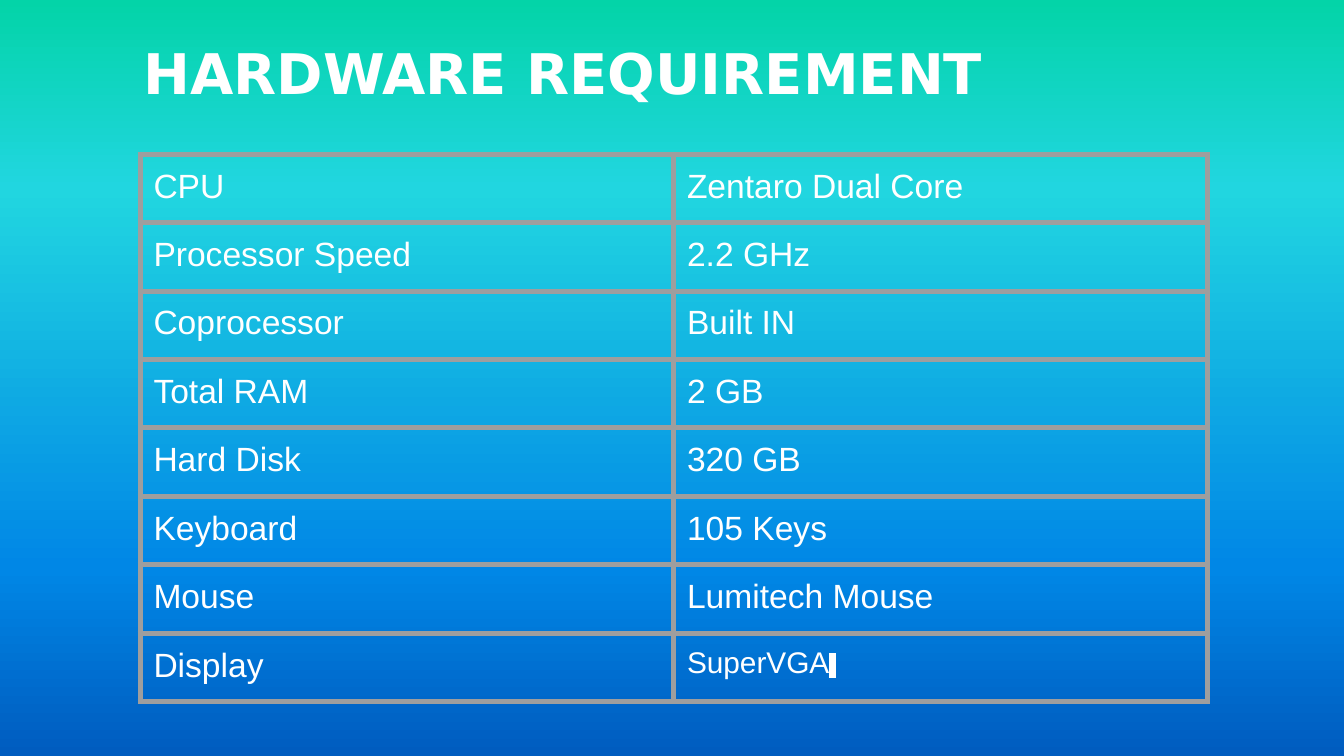
from lxml import etree
from pptx import Presentation
from pptx.dml.color import RGBColor
from pptx.enum.text import MSO_ANCHOR
from pptx.oxml.ns import qn
from pptx.util import Inches, Pt

TOP = MSO_ANCHOR.TOP
WIDTH = Inches(10)
HEIGHT = WIDTH * 9 // 16
INSET = Inches(0.1)
COLORS = {"text": "FFFFFF", "line": "9E9E9E", "mark": "1F497D"}
SKY = [(0, "03D4A8"), (25, "21D6E0"), (75, "0087E6"), (100, "005CBF")]
SPECS = [
    ("CPU", "Zentaro Dual Core"),
    ("Processor Speed", "2.2 GHz"),
    ("Coprocessor", "Built IN"),
    ("Total RAM", "2 GB"),
    ("Hard Disk", "320 GB"),
    ("Keyboard", "105 Keys"),
    ("Mouse", "Lumitech Mouse"),
    ("Display", "SuperVGA"),
]


def write(para, text, size=18, font="Arial", color="text", bold=False, light=None):
    """Add a formatted run, with an optional highlight color."""
    run = para.add_run()
    run.text = text
    run.font.size, run.font.name, run.font.bold = Pt(size), font, bold
    run.font.color.rgb = RGBColor.from_string(COLORS[color])
    if light:
        mark = etree.Element(qn("a:highlight"))
        etree.SubElement(mark, qn("a:srgbClr"), val=COLORS[light])
        run._r.rPr.find(qn("a:solidFill")).addnext(mark)


class Deck:
    def __init__(self):
        self.prs = Presentation()
        self.prs.slide_width, self.prs.slide_height = WIDTH, HEIGHT
        self.slide = self.prs.slides.add_slide(self.prs.slide_layouts[6])

    def box(self, x, y, w, h):
        """Turn percentages of the slide's size into lengths."""
        sides = (WIDTH, HEIGHT, WIDTH, HEIGHT)
        return [int(side * part / 100) for side, part in zip(sides, (x, y, w, h))]

    def pad(self, item):
        """Give a cell or text frame equal margins and top alignment."""
        item.vertical_anchor = TOP
        item.margin_left = item.margin_right = INSET
        item.margin_top = item.margin_bottom = INSET

    def backdrop(self, stops):
        fill = self.slide.background.fill
        fill.gradient()
        fill.gradient_angle = 270
        ramp = self.slide.element.find(".//" + qn("a:gsLst"))
        for old in list(ramp):
            ramp.remove(old)
        for share, color in stops:
            stop = etree.SubElement(ramp, qn("a:gs"), pos=str(share * 1000))
            etree.SubElement(stop, qn("a:srgbClr"), val=color)

    def title(self, text, *area):
        frame = self.slide.shapes.add_textbox(*self.box(*area)).text_frame
        frame.word_wrap = True
        self.pad(frame)
        write(frame.paragraphs[0], text, size=30, font="DejaVu Sans", bold=True)

    def border(self, cell):
        props = cell._tc.get_or_add_tcPr()
        for i, side in enumerate(("lnL", "lnR", "lnT", "lnB")):
            line = etree.Element(qn("a:" + side), w=str(Pt(3)))
            fill = etree.SubElement(line, qn("a:solidFill"))
            etree.SubElement(fill, qn("a:srgbClr"), val=COLORS["line"])
            props.insert(i, line)

    def table(self, rows, *area):
        shape = self.slide.shapes.add_table(len(rows), len(rows[0]), *self.box(*area))
        grid = shape.table
        grid.first_row = grid.horz_banding = False
        for r, row in enumerate(rows):
            for c, text in enumerate(row):
                cell = grid.cell(r, c)
                cell.fill.background()
                self.pad(cell)
                self.border(cell)
                last = (r, c) == (len(rows) - 1, len(row) - 1)
                para = cell.text_frame.paragraphs[0]
                write(para, text, size=16 if last else 18)
                if last:  # highlighted cursor mark
                    write(para, " ", size=12, color="mark", light="text")


def main():
    deck = Deck()
    # Background
    deck.backdrop(SKY)
    # Heading
    deck.title("HARDWARE REQUIREMENT", 9.7, 3.3, 87.7, 13.7)
    # Specification table
    deck.table(SPECS, 10.42, 20.4, 79.4, 72.4)
    deck.prs.save("out.pptx")


if __name__ == "__main__":
    main()
